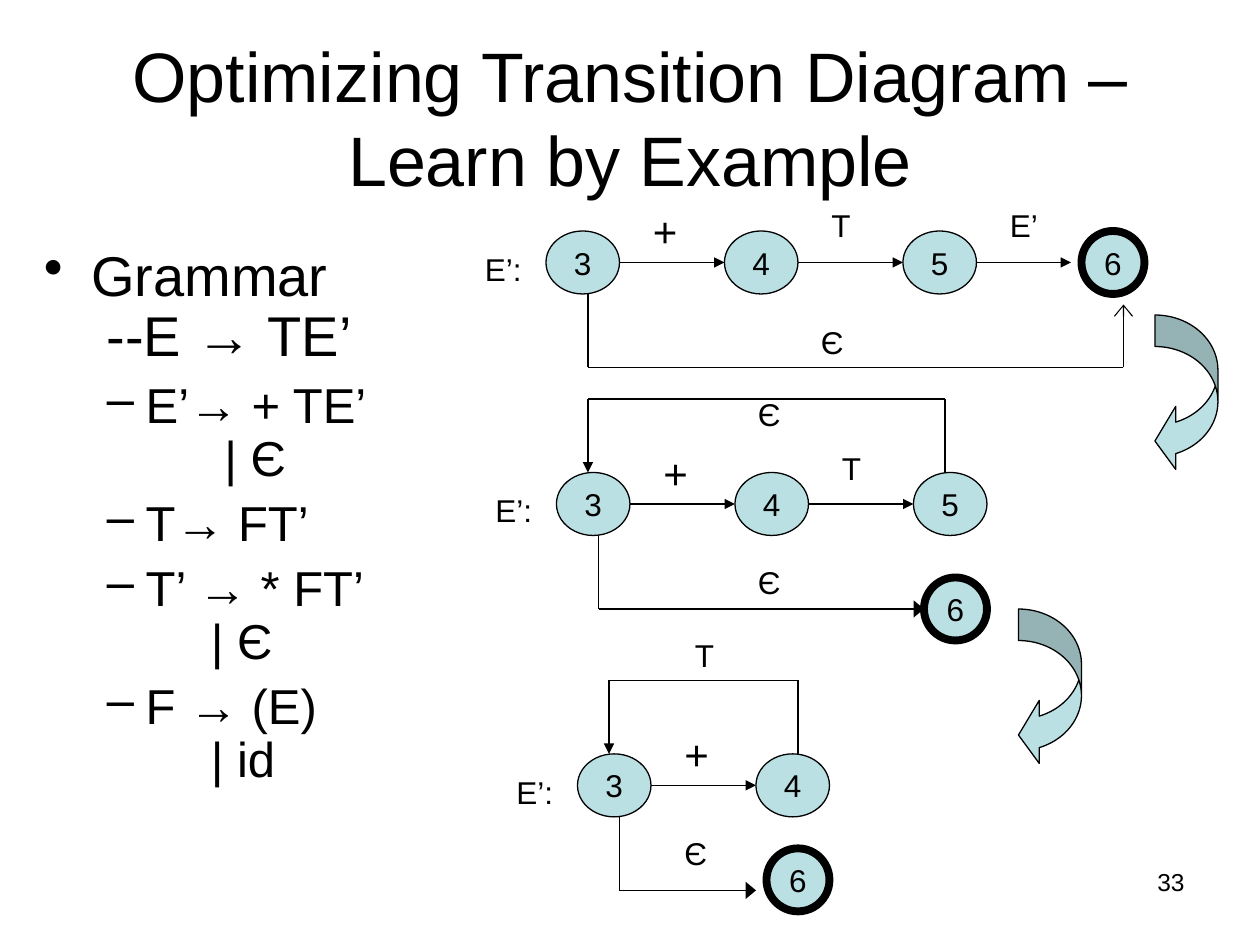
from dataclasses import dataclass

from lxml.etree import SubElement
from pptx import Presentation
from pptx.dml.color import RGBColor
from pptx.enum.shapes import MSO_CONNECTOR, MSO_SHAPE
from pptx.enum.text import MSO_ANCHOR, PP_ALIGN
from pptx.oxml.ns import qn
from pptx.util import Emu, Pt

PX = 7620
STATE_W, STATE_H, PITCH = 70, 60, 170


@dataclass(frozen=True)
class Theme:
    font: str = "Arial"
    ink: RGBColor = RGBColor(0x00, 0x00, 0x00)
    fill: RGBColor = RGBColor(0xBB, 0xE0, 0xE3)
    title: int = 40
    grammar: int = 32
    rule: int = 28
    plus: int = 24
    label: int = 18
    number: int = 14
    thin: float = 0.75
    thick: float = 4.5


THEME = Theme()


def px(*values):
    return [Emu(v * PX) for v in values]


def set_attrs(obj, formats):
    for name, value in formats.items():
        setattr(obj, name, value)


def write(p, text, size, **formats):
    p.text = text
    set_attrs(p, formats)
    for r in p.runs:
        set_attrs(r.font, {"name": THEME.font, "size": Pt(size)})
        r.font.color.rgb = THEME.ink


def add_text(s, box, text, size, anchor=MSO_ANCHOR.TOP, align=PP_ALIGN.LEFT):
    tf = s.shapes.add_textbox(*px(*box)).text_frame
    set_attrs(tf, {"word_wrap": True, "vertical_anchor": anchor})
    write(tf.paragraphs[0], text, size, alignment=align)
    return tf


def add_filled(s, kind, box, width):
    sp = s.shapes.add_shape(kind, *px(*box))
    sp.shadow.inherit = False
    sp.fill.solid()
    sp.fill.fore_color.rgb = THEME.fill
    sp.line.color.rgb = THEME.ink
    sp.line.width = Pt(width)
    return sp


def add_state(s, x, y, name, final=False):
    width = STATE_H if final else STATE_W
    line = THEME.thick if final else THEME.thin
    sp = add_filled(s, MSO_SHAPE.OVAL, (x, y, width, STATE_H), line)
    tf = sp.text_frame
    set_attrs(tf, {"word_wrap": False, "vertical_anchor": MSO_ANCHOR.MIDDLE})
    write(tf.paragraphs[0], name, THEME.label, alignment=PP_ALIGN.CENTER)


def add_route(s, points, head="triangle", head_width="med"):
    for start, end in zip(points, points[1:]):
        cx = s.shapes.add_connector(MSO_CONNECTOR.STRAIGHT, *px(*start, *end))
        cx.line.color.rgb = THEME.ink
        cx.line.width = Pt(THEME.thin)
        SubElement(cx._element.spPr, qn("a:effectLst"))
    ln = cx.line._get_or_add_ln()
    SubElement(ln, qn("a:tailEnd"), type=head, w=head_width, len="med")


def add_label(s, x, y, text, width=40):
    add_text(s, (x, y, width, 48), text, THEME.label)


def add_machine(s, x, y, states, final, exit_points, labels, head="triangle"):
    for i, name in enumerate(states):
        add_state(s, x + i * PITCH, y, name)
    mid = y + STATE_H // 2
    for i in range(len(states) - 1):
        left = x + i * PITCH
        add_route(s, [(left + STATE_W, mid), (left + PITCH, mid)])
    drop = [(x + 40, y + STATE_H), (x + 40, y + 130)]
    add_route(s, drop + exit_points, head, "lg")
    add_state(s, *final, "6", final=True)
    add_label(s, x - 70, y + 12, "E’:", 70)
    add_text(s, (x + 90, y - 30, 60, 60), "+", THEME.plus)
    for label in labels:
        add_label(s, *label)


def add_loop(s, right, left, y):
    top = y - 70
    add_route(s, [(right, y), (right, top), (left, top), (left, y)])


def add_curved_arrow(s, x, y):
    sp = add_filled(s, MSO_SHAPE.CURVED_LEFT_ARROW, (x, y, 60, 150), THEME.thin)
    for i, value in enumerate((0.5, 1.0, 0.33)):
        sp.adjustments[i] = value


def add_bullet(p, char, margin, hang, tab=None):
    pPr = p._p.get_or_add_pPr()
    pPr.set("marL", str(margin * PX))
    pPr.set("indent", str(-hang * PX))
    SubElement(pPr, qn("a:buChar"), char=char)
    if tab:
        tabs = SubElement(pPr, qn("a:tabLst"))
        SubElement(tabs, qn("a:tab"), pos=str(tab * PX), algn="l")


def add_grammar(s):
    tf = add_text(s, (30, 230, 410, 595), "Grammar\n --E → TE’", THEME.grammar)
    p = tf.paragraphs[0]
    p.line_spacing = 0.9
    add_bullet(p, "•", 45, 45)
    rules = [
        ("E’→ + TE’\n\t| Є", 172),
        ("T→ FT’", None),
        ("T’ → * FT’\n\t| Є", 159),
        ("F → (E)\n\t| id", 159),
    ]
    for text, tab in rules:
        p = tf.add_paragraph()
        add_bullet(p, "–", 97, 37, tab)
        write(p, text, THEME.rule, level=1, line_spacing=0.9, space_before=Pt(7))


def main():
    prs = Presentation()
    prs.slide_width, prs.slide_height = px(1200, 900)
    s = prs.slides.add_slide(prs.slide_layouts[6])
    add_text(s, (60, 36, 1080, 150),
             "Optimizing Transition Diagram – Learn by Example",
             THEME.title, MSO_ANCHOR.MIDDLE, PP_ALIGN.CENTER)
    add_machine(s, 520, 220, "345", (1030, 220), [(1070, 350), (1070, 290)],
                [(780, 190, "T"), (950, 190, "E’", 70), (770, 302, "Є")], "arrow")
    add_route(s, [(930, 250), (1020, 250)])
    add_machine(s, 530, 450, "345", (880, 550), [(880, 580)],
                [(790, 422, "T"), (710, 530, "Є"), (710, 370, "Є")])
    add_loop(s, 900, 560, 450)
    add_machine(s, 550, 718, "34", (730, 808), [(720, 848)],
                [(640, 788, "Є"), (650, 600, "T", 50)])
    add_loop(s, 760, 580, 718)
    add_grammar(s)
    add_curved_arrow(s, 1100, 300)
    add_curved_arrow(s, 970, 580)
    add_text(s, (860, 820, 280, 62), "33", THEME.number, align=PP_ALIGN.RIGHT)
    prs.save("out.pptx")


if __name__ == "__main__":
    main()
